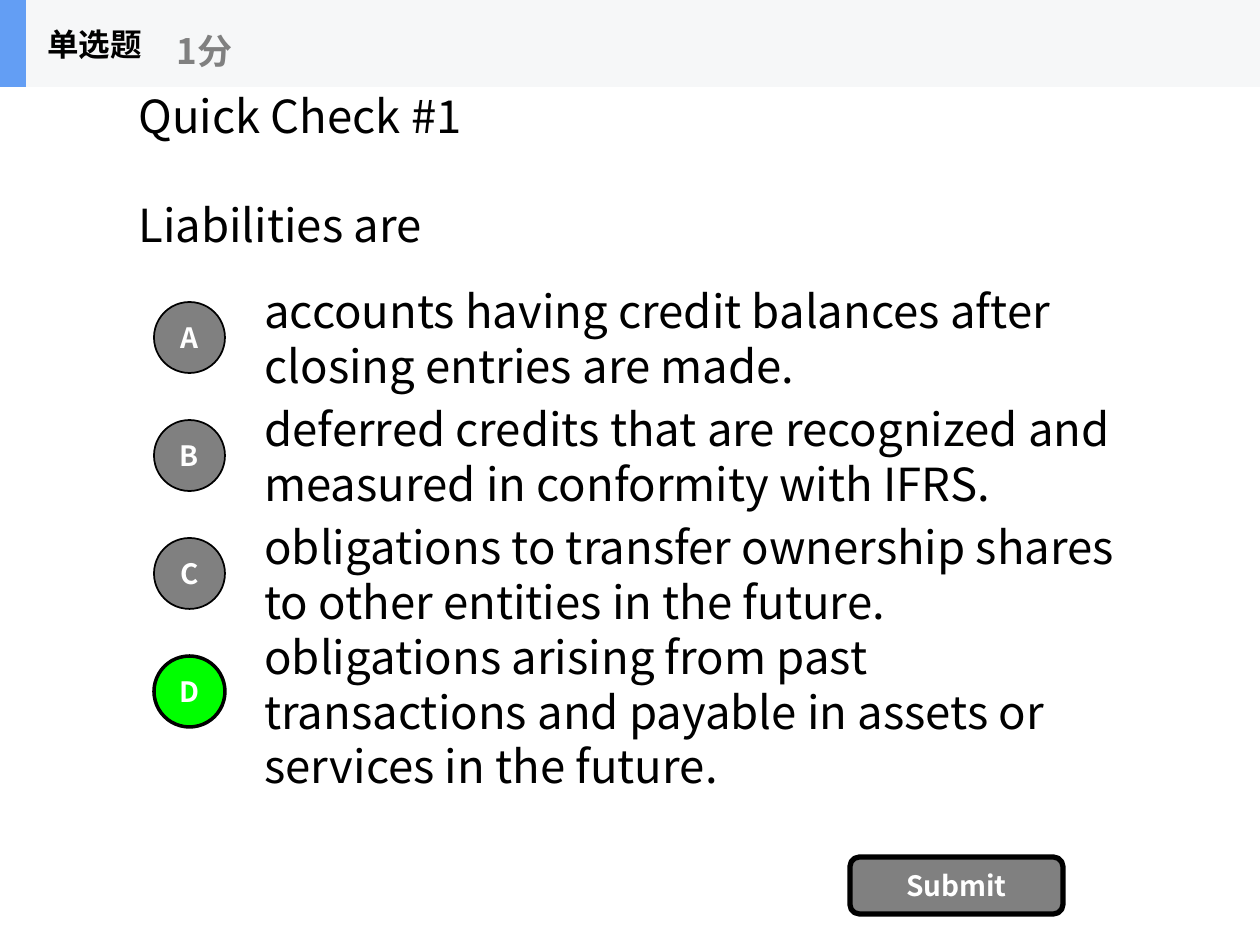
import pptx
import pptx.util
import pptx.dml.color
import pptx.enum.shapes
import pptx.enum.text
import pptx.oxml.ns
import lxml.etree

SHAPES = pptx.enum.shapes.MSO_SHAPE
ALIGN = pptx.enum.text.PP_ALIGN
COLORS = {
    "ink": "000000",
    "muted": "808080",
    "white": "FFFFFF",
    "correct": "00FF00",
    "band": "F6F7F8",
    "accent": "639EF4",
}


class QuizSlide:
    font = "Noto Sans CJK SC"
    scale = 914400 / 126

    def __init__(self, slide):
        self.slide = slide

    def place(self, *lengths):
        return [pptx.util.Emu(round(length * self.scale)) for length in lengths]

    def color(self, name):
        return pptx.dml.color.RGBColor.from_string(COLORS[name])

    def fill_text(self, frame, lines, size, color, bold=False, align=ALIGN.LEFT, gap=0):
        frame.vertical_anchor = pptx.enum.text.MSO_ANCHOR.MIDDLE
        for index, line in enumerate(lines):
            paragraph = frame.add_paragraph() if index else frame.paragraphs[0]
            paragraph.alignment = align
            if index:
                paragraph.space_before = pptx.util.Pt(gap)
            run = paragraph.add_run()
            run.text = line
            run.font.name = self.font
            run.font.size = pptx.util.Pt(size)
            run.font.bold = bold
            run.font.color.rgb = self.color(color)
            east_asian = lxml.etree.SubElement(
                run.font._element, pptx.oxml.ns.qn("a:ea"))
            east_asian.set("typeface", self.font)

    def text(self, box, lines, size=26, color="ink", bold=False, gap=0):
        frame = self.slide.shapes.add_textbox(*self.place(*box)).text_frame
        frame.word_wrap = True
        self.fill_text(frame, lines, size, color, bold, gap=gap)

    def block(self, box, fill, kind=SHAPES.RECTANGLE, border=0, label=None):
        block = self.slide.shapes.add_shape(kind, *self.place(*box))
        block.shadow.inherit = False
        block.fill.solid()
        block.fill.fore_color.rgb = self.color(fill)
        if border:
            block.line.color.rgb = self.color("ink")
            block.line.width = pptx.util.Pt(border)
        else:
            block.line.fill.background()
        if label:
            block.text_frame.word_wrap = False
            self.fill_text(block.text_frame, [label], 16, "white", True, ALIGN.CENTER)


def main():
    deck = pptx.Presentation()
    deck.slide_width = pptx.util.Inches(10)
    deck.slide_height = pptx.util.Inches(7.5)
    quiz = QuizSlide(deck.slides.add_slide(deck.slide_layouts[6]))

    quiz.text((126, 87, 1008, 165), ["Quick Check #1", "Liabilities are"], gap=31)

    options = [
        ("A", 294, "accounts having credit balances after closing entries are made."),
        ("B", 412, "deferred credits that are recognized and measured in conformity with IFRS."),
        ("C", 530, "obligations to transfer ownership shares to other entities in the future."),
        ("D", 667, "obligations arising from past transactions and payable in assets or services in the future."),
    ]
    answer = "D"
    for row, (letter, top, wording) in enumerate(options):
        quiz.text((252, top, 882, 88), [wording])
        chosen = letter == answer
        quiz.block((154, 302 + 118 * row, 71, 71), "correct" if chosen else "muted",
                   SHAPES.OVAL, 2 if chosen else 1, letter)

    quiz.block((850, 857, 213, 57), "muted", SHAPES.ROUNDED_RECTANGLE, 3, "Submit")

    quiz.block((0, 0, 1260, 87), "band")
    quiz.block((0, 0, 26, 87), "accent")
    quiz.text((35, 0, 262, 87), ["单选题"], 18, bold=True)
    quiz.text((164, 15, 315, 71), ["1分"], 20, "muted", bold=True)

    deck.save("out.pptx")


if __name__ == "__main__":
    main()
